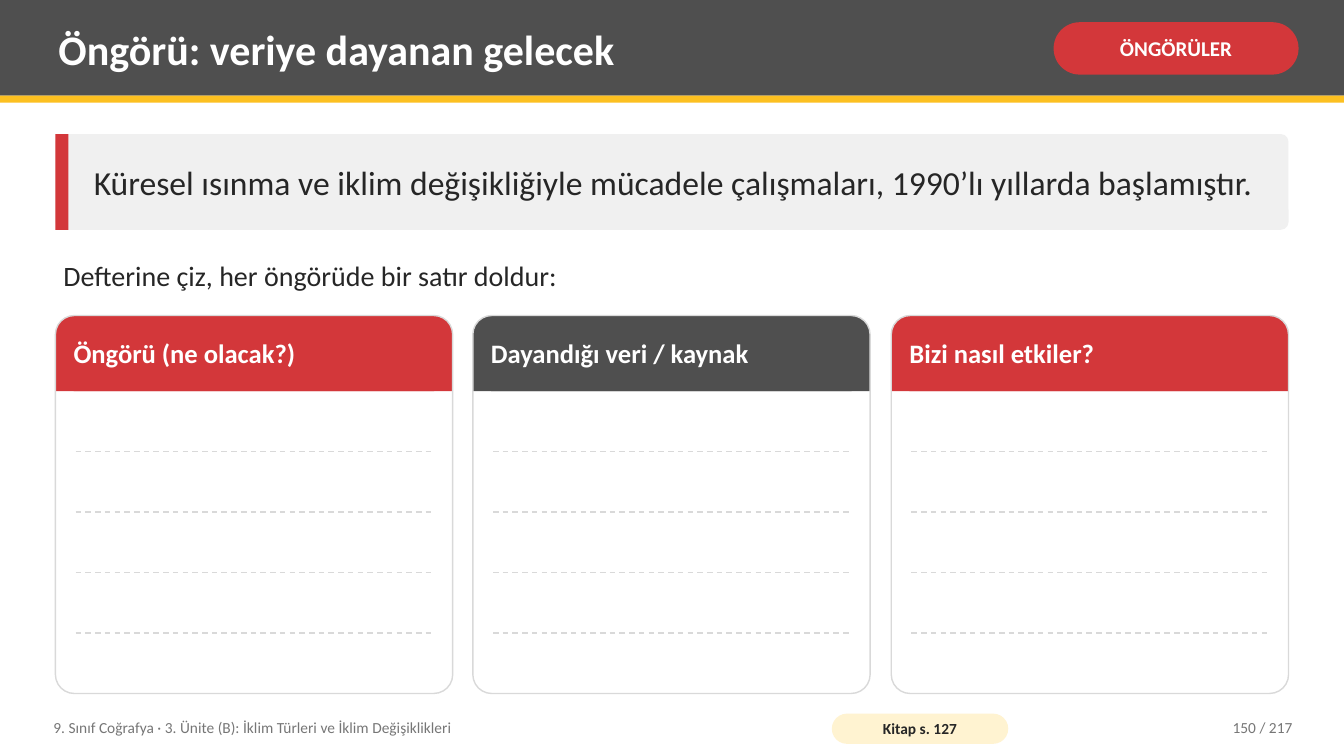
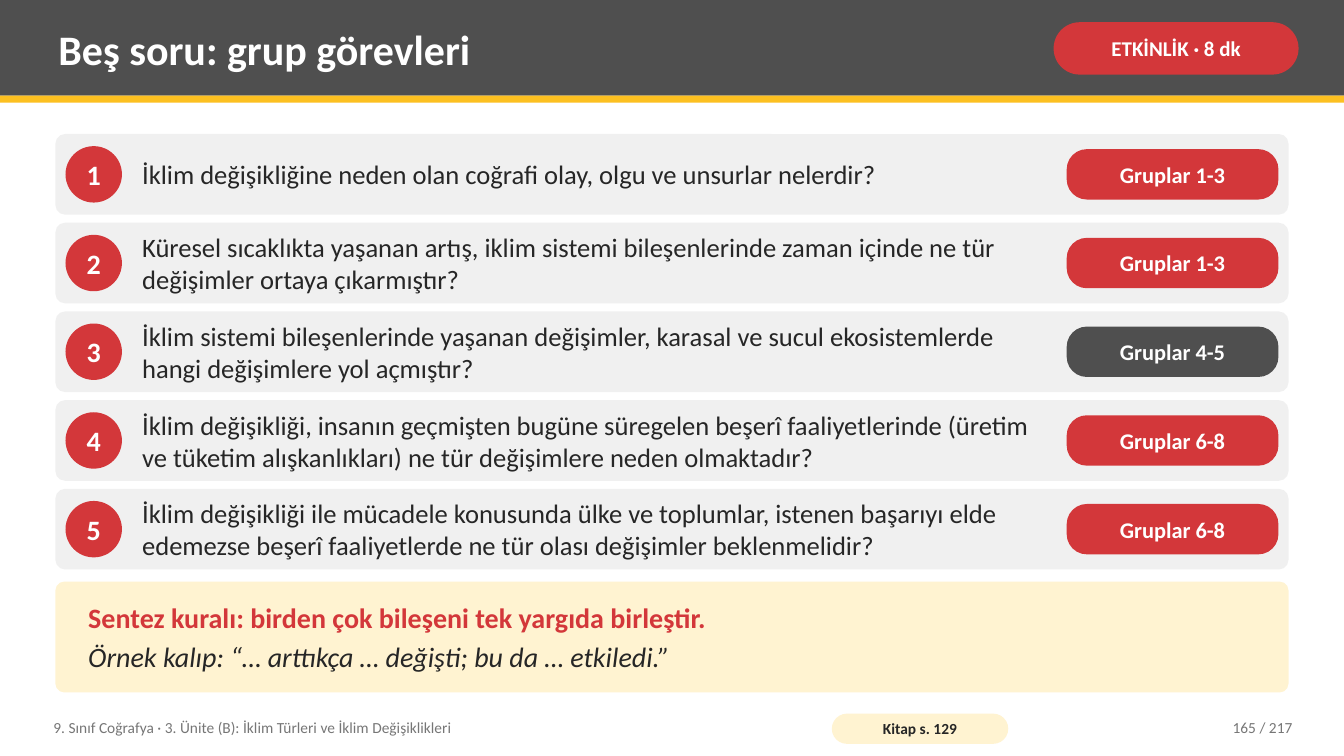
from lxml.etree import SubElement as SubEl
from pptx import Presentation as Deck
from pptx.dml.color import RGBColor as Rgb
from pptx.enum.dml import MSO_LINE as Dash
from pptx.enum.shapes import MSO_CONNECTOR as Link, MSO_SHAPE as Kind
from pptx.enum.text import MSO_ANCHOR as Anchor, MSO_AUTO_SIZE as Fit, PP_ALIGN as Align
from pptx.oxml.ns import qn
from pptx.util import Pt

SCALE = 9144
WIDE, HIGH = 1333, 750
LEFT, SPAN = 55, 1223

RED, GREY, GOLD = "D3373A", "4F4F4F", "FCC021"
PALE, CREAM, RULE = "F0F0F0", "FFF3D1", "D9D9D9"
INK, MUTED, WHITE = "262626", "767676", "FFFFFF"

UNIT = "9. Sınıf Coğrafya · 3. Ünite (B): İklim Türleri ve İklim Değişiklikleri"
TOTAL = 217

HEADS = [
    ("Öngörü (ne olacak?)", RED),
    ("Dayandığı veri / kaynak", GREY),
    ("Bizi nasıl etkiler?", RED),
]

TASKS = [
    ("İklim değişikliğine neden olan coğrafi olay, olgu ve unsurlar nelerdir?",
     "Gruplar 1-3", RED),
    ("Küresel sıcaklıkta yaşanan artış, iklim sistemi bileşenlerinde zaman içinde "
     "ne tür değişimler ortaya çıkarmıştır?", "Gruplar 1-3", RED),
    ("İklim sistemi bileşenlerinde yaşanan değişimler, karasal ve sucul "
     "ekosistemlerde hangi değişimlere yol açmıştır?", "Gruplar 4-5", GREY),
    ("İklim değişikliği, insanın geçmişten bugüne süregelen beşerî faaliyetlerinde "
     "(üretim ve tüketim alışkanlıkları) ne tür değişimlere neden olmaktadır?",
     "Gruplar 6-8", RED),
    ("İklim değişikliği ile mücadele konusunda ülke ve toplumlar, istenen başarıyı "
     "elde edemezse beşerî faaliyetlerde ne tür olası değişimler beklenmelidir?",
     "Gruplar 6-8", RED),
]


def px(*nums):
    return [num * SCALE for num in nums]


def tint(part, code):
    part.rgb = Rgb.from_string(code)


def apply(item, values):
    for name, value in values.items():
        setattr(item, name, value)


class Board:
    font = {"name": "Calibri", "bold": False, "italic": False}
    frame = {"word_wrap": True, "auto_size": Fit.NONE, "vertical_anchor": Anchor.MIDDLE}
    sides = ("margin_left", "margin_right", "margin_top", "margin_bottom")

    def __init__(self):
        self.deck = Deck()
        self.deck.slide_width, self.deck.slide_height = px(WIDE, HIGH)
        self.slide = None

    def start(self, title, tag, book, page):
        self.slide = self.deck.slides.add_slide(self.deck.slide_layouts[5])
        self.shape(Kind.RECTANGLE, (0, 0, WIDE, 95), GREY)
        band = self.shape(Kind.RECTANGLE, (0, 95, WIDE, 7), GOLD)
        head = self.slide.shapes.title
        band.element.addnext(head.element)
        apply(head, dict(zip(("left", "top", "width", "height"), px(50, 7, 975, 82))))
        self.label(head, [title], 30, WHITE, bold=True)
        self.pill((1045, 22, 243, 52), RED, tag, 15, inset=(5, 2))
        self.text((45, 704, 760, 36), UNIT, 11, MUTED)
        self.pill((825, 708, 175, 30), CREAM, book, 11, INK)
        self.text((1130, 704, 160, 36), f"{page} / {TOTAL}", 11, MUTED, align=Align.RIGHT)

    def label(self, shape, lines, size, code, align=Align.LEFT, inset=(8, 4),
              wrap=True, **style):
        frame = shape.text_frame
        across, down = px(*inset)
        edges = dict(zip(self.sides, (across, across, down, down)))
        apply(frame, {**self.frame, **edges, "word_wrap": wrap})
        frame.text = "\n".join(lines)
        for para in frame.paragraphs:
            para.alignment = align
            apply(para.font, {**self.font, "size": Pt(size), **style})
            tint(para.font.color, code)
        return frame.paragraphs

    def text(self, box, words, size, code, **style):
        self.label(self.slide.shapes.add_textbox(*px(*box)), [words], size, code, **style)

    def shape(self, kind, box, fill=None, line=None, bend=None):
        shape = self.slide.shapes.add_shape(kind, *px(*box))
        shape.shadow.inherit = False
        if bend is not None:
            shape.adjustments[0] = bend
        if fill:
            shape.fill.solid()
            tint(shape.fill.fore_color, fill)
        else:
            shape.fill.background()
        if line:
            tint(shape.line.color, line)
            shape.line.width = Pt(1)
        else:
            shape.line.fill.background()
        return shape

    def panel(self, box, fill=None, bend=0.08, line=None):
        return self.shape(Kind.ROUNDED_RECTANGLE, box, fill, line, bend)

    def pill(self, box, fill, words, size, code=WHITE, bend=0.5, inset=(4, 0)):
        self.label(self.panel(box, fill, bend), [words], size, code,
                   align=Align.CENTER, inset=inset, bold=True)

    def badge(self, box, words):
        self.label(self.shape(Kind.OVAL, box, RED), [words], 20, WHITE,
                   align=Align.CENTER, inset=(0, 0), wrap=False, bold=True)

    def dash(self, left, top, width):
        line = self.slide.shapes.add_connector(
            Link.STRAIGHT, *px(left, top, left + width, top))
        tint(line.line.color, RULE)
        apply(line.line, {"width": Pt(1), "dash_style": Dash.DASH})
        SubEl(line.element.spPr, qn("a:effectLst"))

    def column(self, left, width, words, fill):
        top = 313
        self.panel((left, top, width, 375), WHITE, 0.05)
        self.panel((left, top, width, 75), fill, 0.25)
        self.shape(Kind.RECTANGLE, (left, top + 38, width, 37), fill)
        self.text((left + 10, top, width - 20, 75), words, 19, WHITE, bold=True)
        self.panel((left, top, width, 375), None, 0.05, RULE)
        for row in range(4):
            self.dash(left + 20, 448 + row * 60, width - 40)

    def task(self, top, number, words, group, fill):
        self.panel((LEFT, top, SPAN, 80), PALE, 0.12)
        self.badge((65, top + 12, 56, 56), str(number))
        self.text((133, top, 908, 80), words, 19, INK)
        self.pill((1058, top + 15, 210, 50), fill, group, 16, bend=0.4)


def main():
    board = Board()

    board.start("Öngörü: veriye dayanan gelecek", "ÖNGÖRÜLER", "Kitap s. 127", 150)
    board.panel((LEFT, 133, SPAN, 95), PALE)
    board.shape(Kind.RECTANGLE, (LEFT, 133, 13, 95), RED)
    board.text((85, 133, 1178, 95),
               "Küresel ısınma ve iklim değişikliğiyle mücadele çalışmaları, "
               "1990’lı yıllarda başlamıştır.", 24, INK)
    board.text((LEFT, 243, SPAN, 60),
               "Defterine çiz, her öngörüde bir satır doldur:", 20, INK)
    gap = 20
    step = (SPAN + gap) / len(HEADS)
    for spot, (words, fill) in enumerate(HEADS):
        board.column(round(LEFT + spot * step), round(step - gap), words, fill)

    board.start("Beş soru: grup görevleri", "ETKİNLİK · 8 dk", "Kitap s. 129", 165)
    for spot, task in enumerate(TASKS):
        board.task(133 + spot * 88, spot + 1, *task)
    note = board.panel((LEFT, 577, SPAN, 110), CREAM)
    rule, model = board.label(
        note,
        ["Sentez kuralı: birden çok bileşeni tek yargıda birleştir.",
         "Örnek kalıp: “… arttıkça … değişti; bu da … etkiledi.”"],
        20, INK, inset=(30, 8))
    rule.space_after = Pt(4)
    rule.font.bold = True
    tint(rule.font.color, RED)
    model.font.italic = True

    board.deck.save("out.pptx")


if __name__ == "__main__":
    main()
